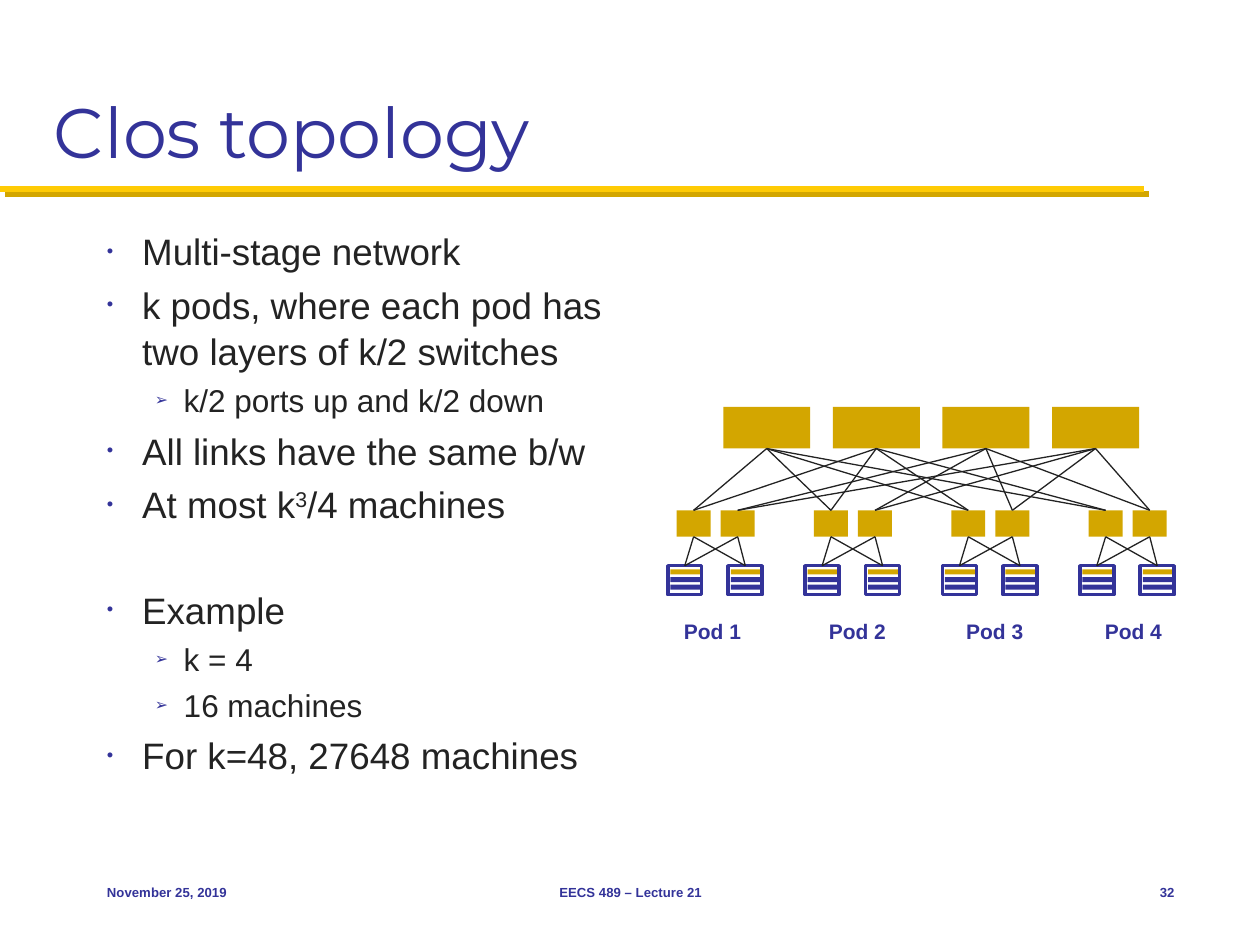
from itertools import product
from lxml import etree
from pptx import Presentation
from pptx.dml.color import RGBColor as RGB
from pptx.enum.shapes import MSO_CONNECTOR as CONN, MSO_SHAPE as SHAPE
from pptx.enum.text import MSO_ANCHOR as ANCHOR, PP_ALIGN as ALIGN
from pptx.oxml.ns import qn
from pptx.util import Inches, Pt

COLORS = {"blue": "333399", "gold": "D3A600", "yellow": "FFCB05", "ink": "232323"}

# Bullet levels: character, size, left indent, hanging indent, space before
LEVELS = [("•", 21, 0.28, 0.28, 4.2), ("➢", 18, 0.61, 0.23, 3.6)]
SECTION_GAP = 33.8

# Level, runs (text, is superscript), starts a new section
BULLETS = [
    (0, [("Multi-stage network", False)], False),
    (0, [("k pods, where each pod has two layers of k/2 switches", False)], False),
    (1, [("k/2 ports up and k/2 down", False)], False),
    (0, [("All links have the same b/w", False)], False),
    (0, [("At most k", False), ("3", True), ("/4 machines", False)], False),
    (0, [("Example", False)], True),
    (1, [("k = 4", False)], False),
    (1, [("16 machines", False)], False),
    (0, [("For k=48, 27648 machines", False)], False),
]

FOOTERS = [
    (0.75, 2.08, "November 25, 2019", ALIGN.LEFT),
    (3.42, 3.17, "EECS 489 – Lecture 21", ALIGN.CENTER),
    (8.75, 0.67, "32", ALIGN.RIGHT),
]

# Network geometry
PODS = [5.3 + 1.09 * i for i in range(4)]
CORES = [5.74 + 0.87 * i for i in range(4)]
LABELS = [5.33, 6.48, 7.57, 8.67]
CORE_Y, AGG_Y, RACK_Y, LABEL_Y = 3.23, 4.05, 4.49, 4.86
CORE_W, CORE_H = 0.69, 0.33
AGG_W, AGG_H = 0.27, 0.21
RACK_W, RACK_H = 0.27, 0.23
AGG_DX, RACK_DX = (0.07, 0.42), (0, 0.48)


def color(name):
    return RGB.from_string(COLORS[name])


def add_run(p, text, size, name, font="Arial", bold=False):
    r = p.add_run()
    r.text = text
    r.font.size = Pt(size)
    r.font.name = font
    r.font.bold = bold
    r.font.color.rgb = color(name)
    return r


def add_box(s, x, y, w, h, anchor=ANCHOR.TOP, wrap=True):
    tf = s.shapes.add_textbox(Inches(x), Inches(y), Inches(w), Inches(h)).text_frame
    tf.word_wrap = wrap
    tf.vertical_anchor = anchor
    return tf


def add_rect(s, x, y, w, h, fill=None, line=None):
    sp = s.shapes.add_shape(SHAPE.RECTANGLE, Inches(x), Inches(y), Inches(w), Inches(h))
    sp.shadow.inherit = False
    if fill:
        sp.fill.solid()
        sp.fill.fore_color.rgb = color(fill)
    else:
        sp.fill.background()
    if line:
        sp.line.color.rgb = color(line)
        sp.line.width = Pt(2)
    else:
        sp.line.fill.background()


def add_line(s, x1, y1, x2, y2, name="ink", width=0.75):
    """Draw a line and return its effect list."""
    c = s.shapes.add_connector(CONN.STRAIGHT, Inches(x1), Inches(y1), Inches(x2), Inches(y2))
    c.line.color.rgb = color(name)
    c.line.width = Pt(width)
    return etree.SubElement(c._element.spPr, qn("a:effectLst"))


def add_rule(s):
    effects = add_line(s, 0, 1.5, 9.08, 1.5, "yellow", 3.5)
    shadow = etree.SubElement(effects, qn("a:outerShdw"), dist=str(Pt(4.2)),
                              dir="2700000", algn="ctr", rotWithShape="0")
    etree.SubElement(shadow, qn("a:srgbClr"), val=COLORS["gold"])


def add_bullet(p, level, runs, new_section):
    char, size, left, hang, before = LEVELS[level]
    p.level = level
    p.line_spacing = 1.05
    p.space_before = Pt(SECTION_GAP if new_section else before)
    pPr = p._p.get_or_add_pPr()
    pPr.set("marL", str(Inches(left)))
    pPr.set("indent", str(-Inches(hang)))
    bu_clr = etree.SubElement(pPr, qn("a:buClr"))
    etree.SubElement(bu_clr, qn("a:srgbClr"), val=COLORS["blue"])
    etree.SubElement(pPr, qn("a:buSzPct"), val="50000")
    etree.SubElement(pPr, qn("a:buFont"), typeface="Arial")
    etree.SubElement(pPr, qn("a:buChar"), char=char)
    for text, raised in runs:
        r = add_run(p, text, size, "ink")
        if raised:
            r.font._element.set("baseline", "30000")


def add_bullets(s):
    tf = add_box(s, 0.75, 1.75, 4.25, 4.83)
    for i, bullet in enumerate(BULLETS):
        add_bullet(tf.add_paragraph() if i else tf.paragraphs[0], *bullet)


def add_rack(s, x):
    for i, name in enumerate(("gold", "blue", "blue")):
        add_rect(s, x + 0.02, RACK_Y + 0.03 + 0.06 * i, 0.24, 0.04, fill=name)
    add_rect(s, x, RACK_Y, RACK_W, RACK_H, line="blue")


def add_pod(s, x):
    for dx in RACK_DX:
        add_rack(s, x + dx)
    for i, dx in enumerate(AGG_DX):
        add_rect(s, x + dx, AGG_Y, AGG_W, AGG_H, fill="gold")
        # Each aggregation switch serves its own half of the core
        for core in CORES[2 * i:2 * i + 2]:
            add_line(s, x + dx + AGG_W / 2, AGG_Y, core + CORE_W / 2, CORE_Y + CORE_H)
    for rack, agg in product(RACK_DX, AGG_DX):
        add_line(s, x + rack + RACK_W / 2, RACK_Y, x + agg + AGG_W / 2, AGG_Y + AGG_H)


def add_network(s):
    for x in CORES:
        add_rect(s, x, CORE_Y, CORE_W, CORE_H, fill="gold")
    for i, (x, label_x) in enumerate(zip(PODS, LABELS), 1):
        add_pod(s, x)
        tf = add_box(s, label_x, LABEL_Y, 0.66, 0.3, wrap=False)
        add_run(tf.paragraphs[0], f"Pod {i}", 12, "blue", bold=True)


def main():
    prs = Presentation()
    prs.slide_width, prs.slide_height = Inches(10), Inches(7.5)
    s = prs.slides.add_slide(prs.slide_layouts[6])

    # Title and rule
    add_rule(s)
    tf = add_box(s, 0.33, 0.17, 9.33, 1.25, ANCHOR.BOTTOM)
    add_run(tf.paragraphs[0], "Clos topology", 40, "blue", "Montserrat")

    # Content
    add_bullets(s)
    add_network(s)

    # Footer
    for x, w, text, align in FOOTERS:
        p = add_box(s, x, 6.83, w, 0.5, ANCHOR.MIDDLE).paragraphs[0]
        p.alignment = align
        add_run(p, text, 7.5, "blue", bold=True)

    prs.save("out.pptx")


main()
